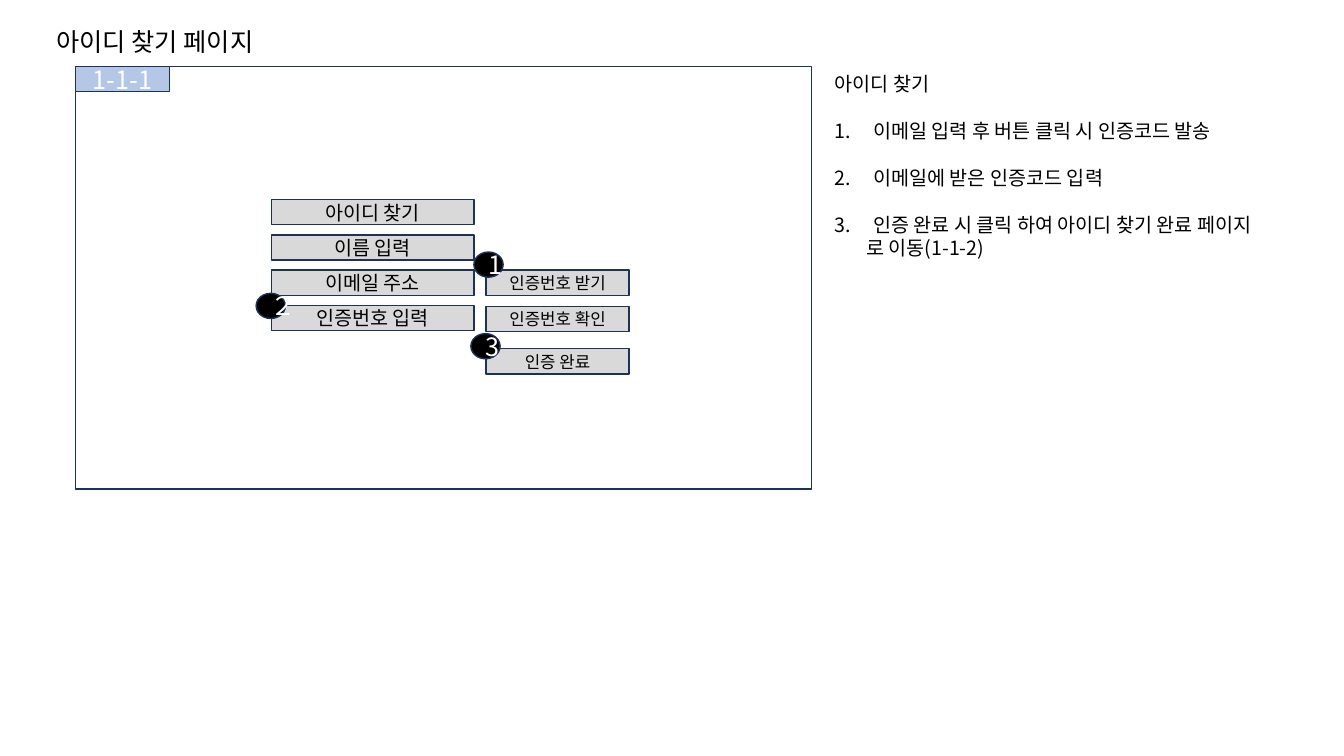
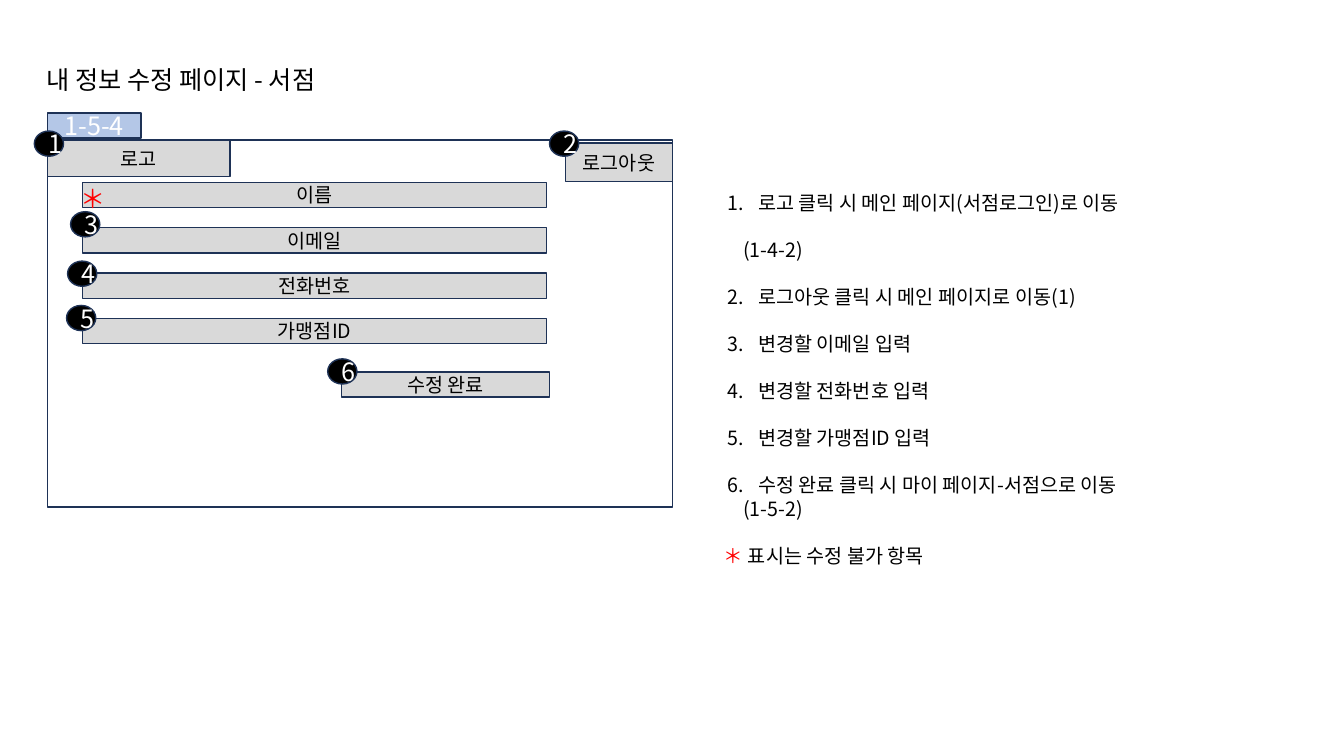
"""Build two wireframe slides with numbered notes."""
from lxml.etree import SubElement
from pptx import Presentation
from pptx.dml.color import RGBColor
from pptx.enum.shapes import MSO_SHAPE
from pptx.enum.text import MSO_ANCHOR, MSO_AUTO_SIZE, PP_ALIGN
from pptx.oxml.ns import qn
from pptx.util import Inches, Pt

FONT = "Noto Sans CJK KR"
BLACK, WHITE, GREY = "000000", "FFFFFF", "D9D9D9"
NAVY, BLUE, RED = "1E3256", "B4C7E7", "FF0000"
STAR = "＊"
ROW = 0.25
LEADING = 1.2


def stack(left, top, width, step, labels, size=14):
    return [(label, (left, top + i * step, width, ROW), size)
            for i, label in enumerate(labels)]


SLIDES = [
    {
        "title": ("아이디 찾기 페이지", (0.46, 0.21, 6.67, 0.4)),
        "frame": (0.75, 0.66, 7.3, 4.19),
        "tag": ("1-1-1", 0.75, 0.66),
        "fields": stack(2.69, 1.98, 2.01, 0.35,
                        ["아이디 찾기", "이름 입력", "이메일 주소", "인증번호 입력"])
        + stack(4.82, 2.68, 1.42, 0.36, ["인증번호 받기", "인증번호 확인"], 12)
        + stack(4.82, 3.46, 1.42, 0, ["인증 완료"], 12),
        "badges": [("1", 4.7, 2.5), ("２", 2.54, 2.91), ("3", 4.67, 3.31)],
        "stars": [],
        "box": (8.18, 0.66, 5.01, 1.99),
        "hang": (0.38, 0.38),
        "notes": [
            ("text", "아이디 찾기", 0),
            ("item", "이메일 입력 후 버튼 클릭 시 인증코드 발송", 1),
            ("item", "이메일에 받은 인증코드 입력", 1),
            ("item", "인증 완료 시 클릭 하여 아이디 찾기 완료 페이지", 1),
            ("more", "로 이동(1-1-2)", 0),
        ],
        "more": 0.31,
    },
    {
        "title": ("내 정보 수정 페이지 - 서점", (0.36, 0.59, 3.63, 0.4)),
        "frame": (0.47, 1.39, 6.2, 3.64),
        "tag": ("1-5-4", 0.47, 1.12),
        "fields": stack(0.82, 1.81, 4.6, 0.45,
                        ["이름", "이메일", "전화번호", "가맹점ID"])
        + stack(3.39, 3.69, 2.06, 0, ["수정 완료"])
        + [("로그아웃", (5.61, 1.42, 1.06, 0.38), 14),
           ("로고", (0.47, 1.39, 1.81, 0.36), 14)],
        "badges": [("1", 0.34, 1.3), ("2", 5.45, 1.3), ("3", 0.7, 2.1),
                   ("4", 0.67, 2.59), ("5", 0.66, 3.03), ("6", 3.25, 3.56)],
        "stars": [(0.7, 1.77, 0.45, 0.4)],
        "box": (7.08, 1.84, 4.93, 4.11),
        "hang": (0.34, 0.3),
        "notes": [
            ("item", "로고 클릭 시 메인 페이지(서점로그인)로 이동", 0),
            ("more", "(1-4-2)", 1),
            ("item", "로그아웃 클릭 시 메인 페이지로 이동(1)", 1),
            ("item", "변경할 이메일 입력", 1),
            ("item", "변경할 전화번호 입력", 1),
            ("item", "변경할 가맹점ID 입력", 1),
            ("item", "수정 완료 클릭 시 마이 페이지-서점으로 이동", 1),
            ("more", "(1-5-2)", 0),
            ("text", STAR + " 표시는 수정 불가 항목", 1),
        ],
        "more": 0.19,
    },
]


def rgb(code):
    return RGBColor.from_string(code)


def place(shape, box):
    shape.left, shape.top, shape.width, shape.height = map(Inches, box)


def style(para, size, color=BLACK, align=PP_ALIGN.LEFT):
    para.alignment = align
    para.line_spacing = Pt(size * LEADING)
    for run in para.runs:
        font = run.font
        font.size, font.name = Pt(size), FONT
        font.color.rgb = rgb(RED if run.text == STAR else color)
        SubElement(font._element, qn("a:ea"), typeface=FONT)


def draw(slide, kind, box, fill, label="", size=18, color=WHITE):
    shape = slide.shapes.add_shape(kind, *map(Inches, box))
    shape.shadow.inherit = False
    shape.fill.solid()
    shape.fill.fore_color.rgb = rgb(fill)
    shape.line.color.rgb = rgb(NAVY)
    shape.line.width = Pt(1)
    if label:
        frame = shape.text_frame
        frame.text = label
        frame.vertical_anchor = MSO_ANCHOR.MIDDLE
        style(frame.paragraphs[0], size, color, PP_ALIGN.CENTER)


def head(slide, text, box):
    title = slide.shapes.title
    place(title, box)
    frame = title.text_frame
    frame.text = text
    frame.auto_size = MSO_AUTO_SIZE.NONE
    frame.vertical_anchor = MSO_ANCHOR.MIDDLE
    style(frame.paragraphs[0], 18)


def indent(para, left, hang=0, number=0):
    props = para._p.get_or_add_pPr()
    props.set("marL", str(Inches(left)))
    props.set("indent", str(-Inches(hang)))
    if number:
        SubElement(props, qn("a:buFont"), typeface=FONT)
        SubElement(props, qn("a:buAutoNum"), type="arabicPeriod",
                   startAt=str(number))
    else:
        SubElement(props, qn("a:buNone"))


def write(slide, page):
    body = slide.placeholders[1]
    place(body, page["box"])
    frame = body.text_frame
    frame.auto_size = MSO_AUTO_SIZE.NONE
    frame.vertical_anchor = MSO_ANCHOR.TOP
    frame.text = "\n".join(text for _, text, _ in page["notes"])
    number = 0
    for para, (kind, text, gap) in zip(frame.paragraphs, page["notes"]):
        if text.startswith(STAR):
            para.runs[0].text = STAR
            para.add_run().text = text[len(STAR):]
        style(para, 14)
        para.space_before = Pt(gap * 14 * LEADING)
        para.space_after = Pt(0)
        if kind == "item":
            number += 1
            indent(para, *page["hang"], number)
        else:
            indent(para, page["more"] if kind == "more" else 0)


def build(slide, page):
    head(slide, *page["title"])
    write(slide, page)
    rect, oval = MSO_SHAPE.RECTANGLE, MSO_SHAPE.OVAL
    draw(slide, rect, page["frame"], WHITE)
    label, left, top = page["tag"]
    draw(slide, rect, (left, top, 0.93, ROW), BLUE, label)
    for label, box, size in page["fields"]:
        draw(slide, rect, box, GREY, label, size, BLACK)
    for box in page["stars"]:
        frame = slide.shapes.add_textbox(*map(Inches, box)).text_frame
        frame.text = STAR
        style(frame.paragraphs[0], 18)
    for label, left, top in page["badges"]:
        draw(slide, oval, (left, top, 0.29, ROW), BLACK, label)


def main():
    deck = Presentation()
    deck.slide_width, deck.slide_height = Inches(13.33), Inches(7.5)
    for page in SLIDES:
        build(deck.slides.add_slide(deck.slide_layouts[1]), page)
    deck.save("out.pptx")


if __name__ == "__main__":
    main()
